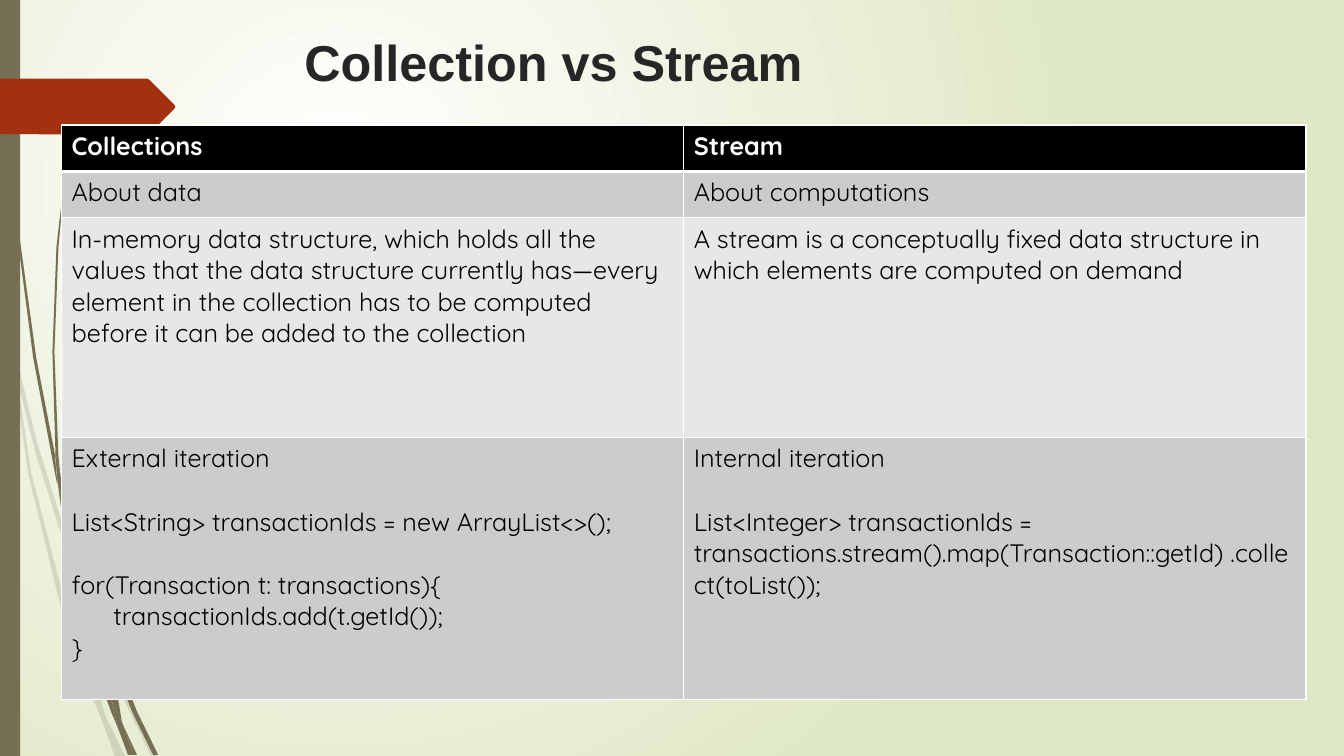
from pptx import Presentation
from pptx.dml.color import RGBColor
from pptx.enum.shapes import MSO_SHAPE as Shape
from pptx.enum.text import MSO_ANCHOR as Anchor
from pptx.oxml.ns import qn
from pptx.util import Cm, Pt
from lxml.etree import SubElement, Element

HUNDREDTH_INCH = Cm(2.54) / 100
OLIVE, RUST, WHITE, BLACK = "766F54", "A53010", "FFFFFF", "000000"
BANDS = [BLACK, "CCCCCC", "E7E7E7", "CCCCCC"]


def color(hex_code):
    return RGBColor.from_string(hex_code)


def apply(target, formats):
    for name, value in formats.items():
        setattr(target, name, value)


class SlideBuilder:
    title_font = {"name": "Arial", "size": Pt(36), "bold": True}
    header_font = {"name": "Quicksand", "size": Pt(18), "bold": True}
    body_font = {"name": "Quicksand", "size": Pt(18), "bold": False}
    blank_line = Pt(22.5)

    def __init__(self, slide):
        self.slide = slide

    def background(self, inner, outer):
        fill = self.slide.background.fill
        fill.gradient()
        for stop, position, shade in zip(fill.gradient_stops, (0, 1), (inner, outer)):
            stop.position = position
            stop.color.rgb = color(shade)
        linear = self.slide.element.find(".//" + qn("a:lin"))
        radial = Element(qn("a:path"), {"path": "circle"})
        SubElement(radial, qn("a:fillToRect"), l="50000", t="50000", r="100000", b="100000")
        linear.getparent().replace(linear, radial)

    def paint(self, shape, shade, opacity=100):
        shape.shadow.inherit = False
        shape.fill.solid()
        shape.fill.fore_color.rgb = color(shade)
        shape.line.fill.background()
        if opacity < 100:
            tone = shape.element.spPr.find(".//" + qn("a:srgbClr"))
            SubElement(tone, qn("a:alpha"), val=str(opacity * 1000))

    def outline(self, shapes, points, shade, opacity=100):
        builder = shapes.build_freeform(*points[0], scale=HUNDREDTH_INCH)
        builder.add_line_segments(points[1:], close=True)
        self.paint(builder.convert_to_shape(), shade, opacity)

    def strands(self, outlines, shade, opacity=100):
        group = self.slide.shapes.add_group_shape()
        for points in outlines:
            self.outline(group.shapes, points, shade, opacity)

    def bar(self, left, top, width, height, shade):
        self.paint(self.slide.shapes.add_shape(Shape.RECTANGLE, left, top, width, height), shade)

    def add_text(self, paragraph, text, font, shade):
        run = paragraph.add_run()
        run.text = text
        apply(run.font, font)
        run.font.color.rgb = color(shade)

    def title(self, text, left, top, width, height, shade):
        frame = self.slide.shapes.add_textbox(left, top, width, height).text_frame
        apply(frame, {"word_wrap": True, "vertical_anchor": Anchor.TOP, "margin_top": Cm(0.25)})
        self.add_text(frame.paragraphs[0], text, self.title_font, shade)

    def borders(self, cell, widths):
        properties = cell._tc.get_or_add_tcPr()
        for index, (side, width) in enumerate(zip("LRTB", widths)):
            edge = Element(qn("a:ln" + side), w=str(Pt(width)))
            SubElement(SubElement(edge, qn("a:solidFill")), qn("a:srgbClr"), val=WHITE)
            properties.insert(index, edge)

    def cell(self, cell, lines, row):
        cell.fill.solid()
        cell.fill.fore_color.rgb = color(BANDS[row])
        self.borders(cell, (1, 1, 3 if row == 1 else 1, 3 if row == 0 else 1))
        frame = cell.text_frame
        font, shade = (self.body_font, BLACK) if row else (self.header_font, WHITE)
        for number, (text, gap, indent) in enumerate(lines):
            paragraph = frame.add_paragraph() if number else frame.paragraphs[0]
            if gap:
                paragraph.space_before = self.blank_line
            if indent:
                paragraph._p.get_or_add_pPr().set("marL", str(Cm(1.05)))
            self.add_text(paragraph, text, font, shade)

    def table(self, rows, left, top, width, heights):
        frame = self.slide.shapes.add_table(
            len(rows), len(rows[0]), left, top, width, sum(heights))
        table = frame.table
        apply(table, {"first_row": False, "horz_banding": False})
        for row, (cells, height) in enumerate(zip(rows, heights)):
            table.rows[row].height = height
            for column, lines in enumerate(cells):
                self.cell(table.cell(row, column), lines, row)


def line(text, gap=False, indent=False):
    return text, gap, indent


PALE_STRANDS = [
    [(11, 350), (9, 322), (0, 282), (0, 299), (10, 344)],
    [(58, 522), (84, 599), (85, 586), (62, 520), (36, 436), (14, 345), (17, 376), (35, 449)],
    [(92, 607), (88, 596), (88, 610), (123, 694), (150, 750), (155, 750), (127, 692)],
    [(119, 750), (124, 750), (105, 711)],
    [(93, 683), (70, 619), (31, 469), (17, 376), (11, 350), (28, 470), (65, 621), (92, 693),
     (101, 714), (99, 707)],
    [(84, 599), (87, 646), (93, 683), (96, 692), (105, 711), (103, 706), (91, 646), (88, 610),
     (88, 608)],
    [(88, 584), (110, 462), (160, 349), (229, 245), (268, 198), (290, 175), (312, 154),
     (312, 153), (289, 175), (268, 197), (228, 244), (158, 348), (107, 461), (85, 584),
     (85, 586), (88, 596)],
    [(101, 714), (114, 750), (119, 750)],
    [(88, 608), (88, 610), (88, 596), (85, 586), (84, 599)],
    [(96, 692), (93, 683), (99, 707), (101, 714), (119, 750), (105, 711)],
]
DARK_STRANDS = [
    [(7, 110), (17, 233), (33, 355), (56, 477), (57, 481), (55, 457), (55, 453), (36, 355),
     (19, 232), (8, 109), (5, 48), (4, 0), (3, 0), (4, 48)],
    [(88, 592), (106, 645), (106, 633), (106, 631), (93, 590), (60, 472), (64, 505)],
    [(113, 649), (110, 641), (111, 656), (132, 708), (152, 749), (157, 749), (136, 706)],
    [(110, 691), (98, 657), (72, 556), (64, 505), (57, 477), (68, 557), (93, 659), (111, 708),
     (117, 722), (116, 717)],
    [(60, 472), (58, 453), (54, 349), (58, 245), (63, 193), (70, 141), (62, 193), (56, 245),
     (52, 349), (55, 449)],
    [(133, 749), (136, 749), (122, 719)],
    [(57, 477), (64, 505), (60, 472), (55, 449), (55, 453)],
    [(111, 633), (125, 552), (158, 476), (205, 406), (231, 374), (245, 359), (261, 344),
     (260, 344), (245, 358), (231, 373), (204, 405), (156, 474), (122, 551), (106, 631),
     (110, 641)],
    [(117, 722), (127, 749), (131, 749)],
    [(106, 645), (110, 691), (116, 706), (122, 719), (121, 716), (111, 656), (109, 651)],
    [(106, 645), (109, 651), (111, 656), (110, 641), (106, 631), (106, 633)],
    [(116, 706), (110, 691), (116, 717), (117, 722), (130, 749), (133, 749), (122, 719)],
]
ARROW_TAB = [(0, 78), (146, 78), (148, 79), (173, 104), (174, 106), (173, 108), (148, 133),
             (146, 134), (0, 133)]
COMPARISON = [
    [[line("Collections")], [line("Stream")]],
    [[line("About data")], [line("About computations")]],
    [[line("In-memory data structure, which holds all the values that the data structure "
           "currently has—every element in the collection has to be computed before it can "
           "be added to the collection")],
     [line("A stream is a conceptually fixed data structure in which elements are computed "
           "on demand")]],
    [[line("External iteration"),
      line("List<String> transactionIds = new ArrayList<>();", gap=True),
      line("for(Transaction t: transactions){", gap=True),
      line("transactionIds.add(t.getId());", indent=True),
      line("}")],
     [line("Internal iteration"),
      line("List<Integer> transactionIds =", gap=True),
      line("transactions.stream().map(Transaction::getId)\u00a0.collect(toList());")]],
]

deck = Presentation()
apply(deck, {"slide_width": Cm(33.87), "slide_height": Cm(19.05)})
builder = SlideBuilder(deck.slides.add_slide(deck.slide_layouts[6]))
builder.background(WHITE, "DFE8C4")
builder.strands(PALE_STRANDS, OLIVE, 20)
builder.strands(DARK_STRANDS, OLIVE)
builder.bar(0, 0, Cm(0.51), deck.slide_height, OLIVE)
builder.outline(builder.slide.shapes, ARROW_TAB, RUST)
builder.title("Collection vs Stream", Cm(7.42), Cm(0.53), Cm(16.03), Cm(2.16), "262626")
builder.table(COMPARISON, Cm(1.55), Cm(3.15), Cm(31.36),
              [Cm(1.17), Cm(1.17), Cm(5.54), Cm(6.6)])
deck.save("out.pptx")
